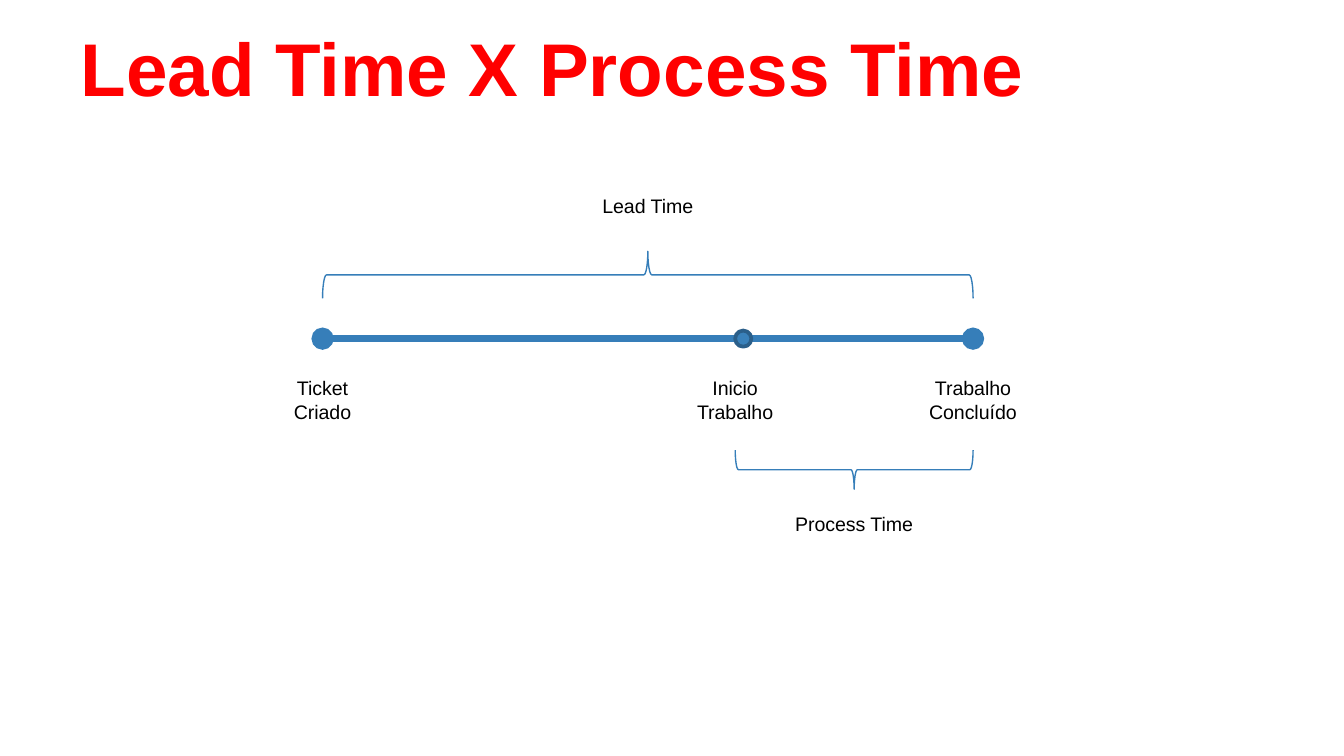
from dataclasses import dataclass

from lxml import etree
from pptx import Presentation
from pptx.dml.color import RGBColor
from pptx.enum.shapes import MSO_CONNECTOR, MSO_SHAPE
from pptx.enum.text import MSO_ANCHOR, MSO_AUTO_SIZE, PP_ALIGN
from pptx.oxml.ns import qn
from pptx.util import Inches, Pt

LEFT, CENTER = PP_ALIGN.LEFT, PP_ALIGN.CENTER
BOTTOM = MSO_ANCHOR.BOTTOM
NO_AUTOFIT, GROW = MSO_AUTO_SIZE.NONE, MSO_AUTO_SIZE.SHAPE_TO_FIT_TEXT
STRAIGHT = MSO_CONNECTOR.STRAIGHT
OVAL = MSO_SHAPE.OVAL
BRACE_UP, BRACE_DOWN = MSO_SHAPE.LEFT_BRACE, MSO_SHAPE.RIGHT_BRACE
TITLE_ONLY = 5


@dataclass(frozen=True)
class Theme:
    font: str = "Arial"
    title_size: float = 40
    label_size: float = 10.5
    title: RGBColor = RGBColor(0xFF, 0x00, 0x00)
    text: RGBColor = RGBColor(0x00, 0x00, 0x00)
    line: RGBColor = RGBColor(0x36, 0x7E, 0xB9)
    dot: RGBColor = RGBColor(0x3A, 0x81, 0xBA)
    dot_edge: RGBColor = RGBColor(0x2B, 0x5F, 0x8A)


THEME = Theme()

# Positions in inches along the timeline
CREATED, STARTED, DONE = 2.4, 5.47, 7.24
TIMELINE_Y = 2.52
MILESTONE_Y = 2.75


def style_paragraph(p, size, color, align, bold=False):
    p.alignment = align
    p.font.name = THEME.font
    p.font.size = Pt(size)
    p.font.bold = bold
    p.font.color.rgb = color


def style_line(line, color, width):
    line.color.rgb = color
    line.width = Pt(width)


def set_title(slide, text):
    sp = slide.shapes.title
    sp.left, sp.top = Inches(0.5), Inches(0.12)
    sp.width, sp.height = Inches(9), Inches(0.81)
    tf = sp.text_frame
    tf.text = text
    tf.auto_size = NO_AUTOFIT
    tf.vertical_anchor = BOTTOM
    tf.margin_left = tf.margin_right = tf.margin_top = tf.margin_bottom = Inches(0.1)
    style_paragraph(tf.paragraphs[0], THEME.title_size, THEME.title, LEFT, bold=True)


def add_label(slide, text, center, top, width, height):
    sp = slide.shapes.add_textbox(
        Inches(center - width / 2), Inches(top), Inches(width), Inches(height))
    tf = sp.text_frame
    tf.word_wrap = True
    tf.auto_size = GROW
    tf.text = text
    style_paragraph(tf.paragraphs[0], THEME.label_size, THEME.text, CENTER)


def add_timeline(slide, start, end, y):
    """Draw a thick line with a round dot at both ends."""
    line = slide.shapes.add_connector(
        STRAIGHT, Inches(start), Inches(y), Inches(end), Inches(y))
    style_line(line.line, THEME.line, 4)
    ln = line._element.spPr.find(qn("a:ln"))
    for tag in ("a:headEnd", "a:tailEnd"):
        etree.SubElement(ln, qn(tag), type="oval")
    etree.SubElement(line._element.spPr, qn("a:effectLst"))


def add_dot(slide, center, y, size):
    sp = slide.shapes.add_shape(
        OVAL, Inches(center - size / 2), Inches(y - size / 2), Inches(size), Inches(size))
    sp.shadow.inherit = False
    sp.fill.solid()
    sp.fill.fore_color.rgb = THEME.dot
    style_line(sp.line, THEME.dot_edge, 2)


def add_brace(slide, kind, start, end, top, depth):
    """Lay an upright brace on its side so that it spans start to end."""
    span = end - start
    center_x, center_y = (start + end) / 2, top + depth / 2
    sp = slide.shapes.add_shape(
        kind, Inches(center_x - depth / 2), Inches(center_y - span / 2),
        Inches(depth), Inches(span))
    sp.rotation = 90
    sp.shadow.inherit = False
    sp.fill.background()
    style_line(sp.line, THEME.line, 0.75)


def main():
    prs = Presentation()
    prs.slide_width = Inches(10)
    prs.slide_height = prs.slide_width * 9 // 16
    slide = prs.slides.add_slide(prs.slide_layouts[TITLE_ONLY])

    set_title(slide, "Lead Time X Process Time")
    add_timeline(slide, CREATED, DONE, TIMELINE_Y)
    add_dot(slide, 5.53, TIMELINE_Y, 0.12)

    milestones = [
        ("Ticket\vCriado", CREATED),
        ("Inicio Trabalho", STARTED),
        ("Trabalho Concluído", DONE),
    ]
    for text, x in milestones:
        add_label(slide, text, x, MILESTONE_Y, 1.06, 0.45)

    add_brace(slide, BRACE_UP, CREATED, DONE, 1.87, 0.35)
    add_brace(slide, BRACE_DOWN, STARTED, DONE, 3.35, 0.29)
    add_label(slide, "Lead Time", (CREATED + DONE) / 2, 1.39, 2.61, 0.28)
    add_label(slide, "Process Time", (STARTED + DONE) / 2, 3.76, 2.61, 0.28)

    prs.save("out.pptx")


if __name__ == "__main__":
    main()
